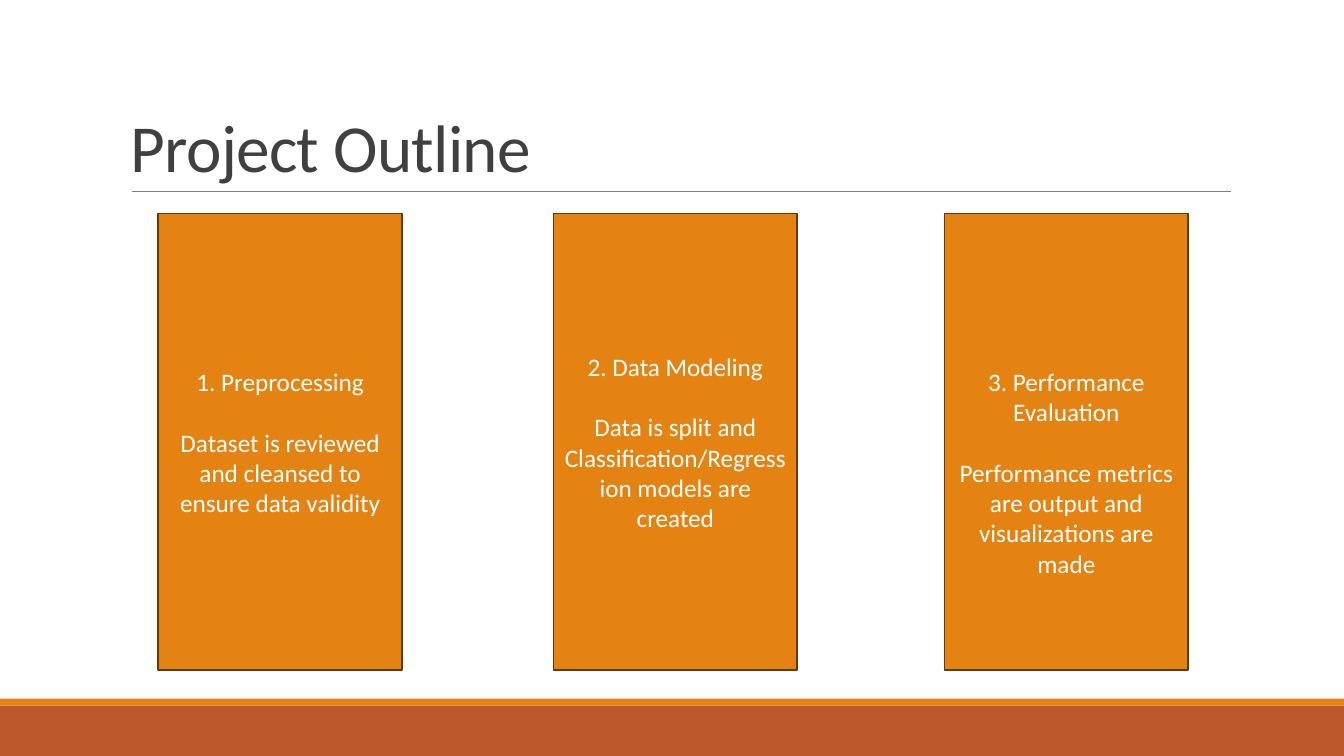
"""Build the Project Outline slide: a title above three project stages."""
from pptx import Presentation
from pptx.dml.color import RGBColor
from pptx.enum import shapes, text
from pptx.oxml import xmlchemy
from pptx.util import Pt
from lxml import etree

ORANGE = RGBColor(0xE4, 0x83, 0x12)
RUST = RGBColor(0xBD, 0x58, 0x2C)
BROWN = RGBColor(0x64, 0x39, 0x08)
GRAY = RGBColor(0x80, 0x80, 0x80)
CHARCOAL = RGBColor(0x40, 0x40, 0x40)
WHITE = RGBColor(0xFF, 0xFF, 0xFF)
FONT = "Calibri"
LINE_HEIGHT = 21.6
INSET = 3.6


def add_block(left, top, width, height, fill):
    block = slide.shapes.add_shape(
        shapes.MSO_SHAPE.RECTANGLE, Pt(left), Pt(top), Pt(width), Pt(height))
    block.shadow.inherit = False
    block.fill.solid()
    block.fill.fore_color.rgb = fill
    block.line.fill.background()
    return block


def style(paragraph, size, color):
    paragraph.font.name = FONT
    paragraph.font.size = Pt(size)
    paragraph.font.color.rgb = color


deck = Presentation()
deck.slide_width, deck.slide_height = Pt(960), Pt(540)
slide = deck.slides.add_slide(deck.slide_layouts[6])

add_block(0, 504, 960, 36, RUST)
add_block(0, 499, 960, 5, ORANGE)

title_rule = slide.shapes.add_connector(
    shapes.MSO_CONNECTOR.STRAIGHT, Pt(94.3), Pt(136.8), Pt(879), Pt(136.8))
title_rule.line.color.rgb = GRAY
title_rule.line.width = Pt(0.5)
etree.SubElement(title_rule._element.spPr, xmlchemy.qn("a:effectLst"))

title = slide.shapes.add_textbox(Pt(86.4), Pt(22.3), Pt(792), Pt(114.5)).text_frame
title.word_wrap = True
title.vertical_anchor = text.MSO_ANCHOR.BOTTOM
heading = title.paragraphs[0]
heading.line_spacing = 0.85
heading_run = heading.add_run()
heading_run.text = "Project Outline"
heading_run._r.get_or_add_rPr().set("spc", "-50")
style(heading, 48, CHARCOAL)

stages = [
    (113, 0, "1. Preprocessing",
     "Dataset is reviewed and cleansed to ensure data validity"),
    (395.3, 0, "2. Data Modeling",
     "Data is split and Classification/Regression models are created"),
    (674.6, 2, "3. Performance Evaluation",
     "Performance metrics are output and visualizations are made"),
]
for left, lowered_lines, name, description in stages:
    stage = add_block(left, 152.6, 174.2, 326.2, ORANGE)
    stage.line.color.rgb = BROWN
    stage.line.width = Pt(1.25)
    body = stage.text_frame
    body.word_wrap = True
    body.vertical_anchor = text.MSO_ANCHOR.MIDDLE
    body.margin_top = Pt(INSET + lowered_lines * LINE_HEIGHT)
    body.text = f"{name}\n{description}"
    body.paragraphs[1].space_before = Pt(LINE_HEIGHT)
    for paragraph in body.paragraphs:
        paragraph.alignment = text.PP_ALIGN.CENTER
        style(paragraph, 18, WHITE)

deck.save("out.pptx")
